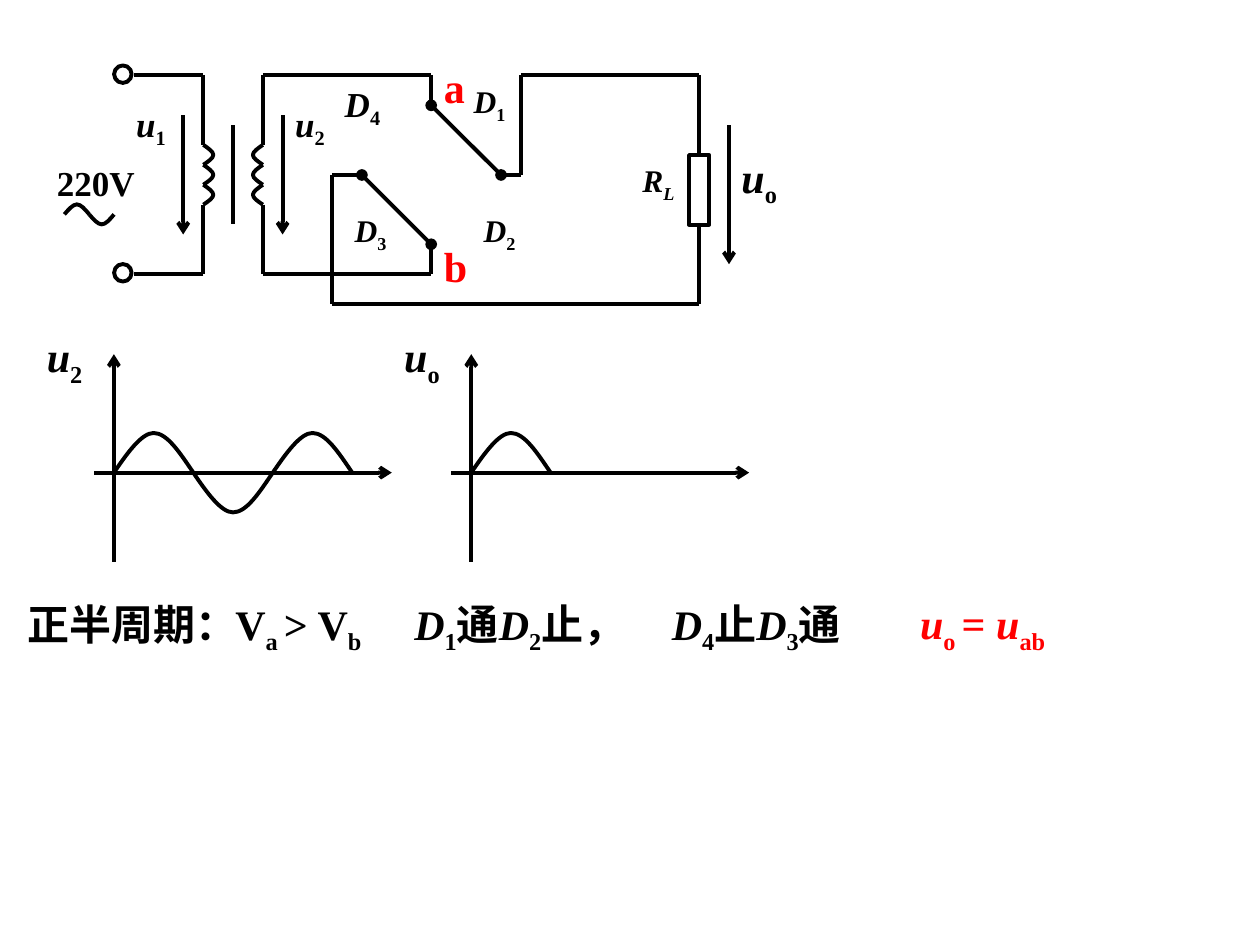
"""Build the slide of a bridge rectifier during the positive half cycle."""
from dataclasses import dataclass

from lxml import etree
from pptx import Presentation
from pptx.dml.color import RGBColor
from pptx.enum.shapes import MSO_CONNECTOR, MSO_SHAPE
from pptx.enum.text import MSO_AUTO_SIZE
from pptx.oxml.ns import qn
from pptx.util import Pt

STRAIGHT = MSO_CONNECTOR.STRAIGHT
OVAL, RECT = MSO_SHAPE.OVAL, MSO_SHAPE.RECTANGLE
GROW = MSO_AUTO_SIZE.SHAPE_TO_FIT_TEXT
COLORS = {"ink": "000000", "paper": "FFFFFF", "accent": "FF0000"}
FONT = {"name": "Times New Roman", "bold": True}
LINE_WIDTH = 2.25
ARCH = [(0, 0), (0.17, 0.5), (0.35, 1), (0.5, 1), (0.67, 1), (0.83, 0.5), (1, 0)]
TOP, BOTTOM, RETURN = 43.1, 156.7, 173.7
COIL_TOP, COIL_STEP, COIL_BULGE = 82.8, 11.4, 5.7
COIL_END = COIL_TOP + 3 * COIL_STEP
PRIMARY, SECONDARY = 116.2, 150.2
TERMINAL, BRIDGE_X, LOAD_X = 76.6, 246.4, 399.6
NODE_A, MIDDLE, NODE_B = 60.2, 100, 139.6
LEFT_NODE, RIGHT_NODE, LEFT_RAIL, RIGHT_RAIL = 206.8, 286.3, 189.9, 297.7
AXIS_Y, HALF_PERIOD, AMPLITUDE = 270.1, 45.4, 22.7


@dataclass
class Wire:
    """A straight line with optional end marks."""
    x1: float
    y1: float
    x2: float
    y2: float
    head: str = ""
    tail: str = ""


@dataclass
class Label:
    """A text whose runs carry the flags i (italic) and s (subscript)."""
    x: float
    y: float
    w: float
    h: float
    size: float
    runs: list[tuple[str, str]]
    color: str = "ink"


@dataclass
class Part:
    """An outlined circuit part."""
    kind: int
    x: float
    y: float
    w: float
    h: float


def symbol(name: str, sub: str, sub_style: str = "s") -> list[tuple[str, str]]:
    """Return the runs of an italic name with its subscript."""
    return [(name, "i"), (sub, sub_style)]


WIRES = [
    Wire(PRIMARY, TOP, PRIMARY, COIL_TOP),
    Wire(PRIMARY, COIL_END, PRIMARY, BOTTOM),
    Wire(PRIMARY, BOTTOM, TERMINAL, BOTTOM),
    Wire(PRIMARY, TOP, TERMINAL, TOP),
    Wire(SECONDARY, TOP, SECONDARY, COIL_TOP),
    Wire(SECONDARY, COIL_END, SECONDARY, BOTTOM),
    Wire(133.2, 71.5, 133.2, 128.2),
    Wire(SECONDARY, TOP, BRIDGE_X, TOP),
    Wire(SECONDARY, BOTTOM, BRIDGE_X, BOTTOM),
    Wire(BRIDGE_X, TOP, BRIDGE_X, NODE_A, tail="oval"),
    Wire(BRIDGE_X, NODE_B, BRIDGE_X, BOTTOM, head="oval"),
    Wire(RIGHT_NODE, MIDDLE, RIGHT_RAIL, MIDDLE, head="oval"),
    Wire(LEFT_NODE, MIDDLE, LEFT_RAIL, MIDDLE, head="oval"),
    Wire(LEFT_RAIL, MIDDLE, LEFT_RAIL, RETURN),
    Wire(LEFT_RAIL, RETURN, LOAD_X, RETURN),
    Wire(RIGHT_RAIL, MIDDLE, RIGHT_RAIL, TOP),
    Wire(RIGHT_RAIL, TOP, LOAD_X, TOP),
    Wire(LOAD_X, TOP, LOAD_X, RETURN),
    Wire(104.7, 66, 104.7, 134, tail="arrow"),
    Wire(161.5, 66, 161.5, 134, tail="arrow"),
    Wire(416.6, 71.5, 416.6, 151, tail="arrow"),
    Wire(BRIDGE_X, NODE_A, RIGHT_NODE, MIDDLE),
    Wire(LEFT_NODE, MIDDLE, BRIDGE_X, NODE_B),
]
PARTS = [
    Part(OVAL, 65.2, 37.4, 10, 10),
    Part(OVAL, 65.2, 150.9, 10, 10),
    Part(RECT, 393.8, 88.6, 11.5, 39.8),
]
LABELS = [
    Label(8.6, 338.4, 148, 36, 24, [("正半周期：", "")]),
    Label(127.4, 338.4, 142, 40, 24,
          [("V", ""), ("a ", "s"), ("> V", ""), ("b", "s")]),
    Label(229.7, 338.4, 221, 40, 24,
          symbol("D", "1") + [("通", "")] + symbol("D", "2") + [("止，", "")]),
    Label(376.8, 338.4, 221, 40, 24,
          symbol("D", "4") + [("止", "")] + symbol("D", "3") + [("通", "")]),
    Label(518.7, 338, 96.5, 40, 24,
          symbol("u", "o ") + [("= ", "")] + symbol("u", "ab"), "accent"),
    Label(416.6, 82.8, 51, 40, 24, symbol("u", "o")),
    Label(360, 88.6, 57, 32, 18, symbol("R", "L", "is")),
    Label(70.7, 54.8, 51, 34.6, 20, symbol("u", "1")),
    Label(161.5, 54.8, 51, 34.6, 20, symbol("u", "2")),
    Label(263.6, 43.2, 51, 32, 18, symbol("D", "1")),
    Label(269.2, 117.2, 51, 32, 18, symbol("D", "2")),
    Label(195.6, 117.2, 51, 32, 18, symbol("D", "3")),
    Label(189.9, 43.4, 51, 34.6, 20, symbol("D", "4")),
    Label(25.4, 88.6, 91, 32, 20, [("220V", "")]),
    Label(246.6, 31.8, 51, 36, 24, [("a", "")], "accent"),
    Label(246.6, 134, 51, 36, 24, [("b", "")], "accent"),
]


def rgb(key: str) -> RGBColor:
    """Return a palette colour."""
    return RGBColor.from_string(COLORS[key])


def stroke(s) -> None:
    """Give a shape or connector the common line."""
    s.line.width = Pt(LINE_WIDTH)
    s.line.color.rgb = rgb("ink")


def draw_wire(shapes, wire: Wire) -> None:
    """Draw a straight line and its end marks."""
    ends = (Pt(v) for v in (wire.x1, wire.y1, wire.x2, wire.y2))
    s = shapes.add_connector(STRAIGHT, *ends)
    stroke(s)
    ln = s._element.spPr.find(qn("a:ln"))
    for tag, mark in (("a:headEnd", wire.head), ("a:tailEnd", wire.tail)):
        if mark:
            etree.SubElement(ln, qn(tag)).set("type", mark)
    etree.SubElement(s._element.spPr, qn("a:effectLst"))


def draw_arch(shapes, x: float, y: float, length: float, height: float,
              vertical: bool = False) -> None:
    """Draw a half wave of two Bezier curves along either axis."""
    points = []
    for along, across in ARCH:
        dx, dy = along * length, across * height
        if vertical:
            dx, dy = across * height, along * length
        points.append((Pt(x + dx), Pt(y + dy)))
    builder = shapes.build_freeform(*points[0])
    builder.add_line_segments(points[1:], close=False)
    s = builder.convert_to_shape()
    segments = list(s._element.iter(qn("a:lnTo")))
    outline = segments[0].getparent()
    for i in range(0, len(segments), 3):
        curve = etree.SubElement(outline, qn("a:cubicBezTo"))
        for segment in segments[i:i + 3]:
            curve.append(segment[0])
            outline.remove(segment)
    s.fill.background()
    s.shadow.inherit = False
    stroke(s)


def draw_wave(shapes, x: float, y: float, length: float, height: float,
              halves: int) -> None:
    """Draw a sine wave of several half periods, rising first."""
    for i in range(halves):
        draw_arch(shapes, x + i * length, y, length, -height * (-1) ** i)


def draw_coil(shapes, x: float, bulge: float) -> None:
    """Draw the three turns of a winding."""
    for i in range(3):
        draw_arch(shapes, x, COIL_TOP + i * COIL_STEP, COIL_STEP, bulge, True)


def draw_part(shapes, part: Part) -> None:
    """Draw an outlined part."""
    box = (Pt(v) for v in (part.x, part.y, part.w, part.h))
    s = shapes.add_shape(part.kind, *box)
    s.shadow.inherit = False
    s.fill.solid()
    s.fill.fore_color.rgb = rgb("paper")
    stroke(s)


def draw_label(shapes, label: Label) -> None:
    """Draw a text with italic and subscript runs."""
    box = (Pt(v) for v in (label.x, label.y, label.w, label.h))
    tf = shapes.add_textbox(*box).text_frame
    tf.word_wrap = True
    tf.auto_size = GROW
    p = tf.paragraphs[0]
    for text, style in label.runs:
        r = p.add_run()
        r.text = text
        formats = FONT | {"size": Pt(label.size), "italic": "i" in style}
        for name, value in formats.items():
            setattr(r.font, name, value)
        r.font.color.rgb = rgb(label.color)
        if "s" in style:
            r._r.get_or_add_rPr().set("baseline", "-25000")


def draw_plot(shapes, x: float, sub: str, halves: int) -> None:
    """Draw the axes, wave and name of a voltage plot."""
    draw_wire(shapes, Wire(x - 11.3, AXIS_Y, x + 158.8, AXIS_Y, tail="arrow"))
    draw_wire(shapes, Wire(x, 202.4, x, 321, head="arrow"))
    draw_wave(shapes, x, AXIS_Y, HALF_PERIOD, AMPLITUDE, halves)
    draw_label(shapes, Label(x - 45.4, 185.3, 108, 40, 24, symbol("u", sub)))


def main() -> None:
    """Create and save the presentation."""
    prs = Presentation()
    prs.slide_width, prs.slide_height = Pt(720), Pt(540)
    shapes = prs.slides.add_slide(prs.slide_layouts[6]).shapes
    draw_plot(shapes, 65.1, "2", 3)
    draw_plot(shapes, 269.3, "o", 1)
    for wire in WIRES:
        draw_wire(shapes, wire)
    draw_coil(shapes, PRIMARY, COIL_BULGE)
    draw_coil(shapes, SECONDARY, -COIL_BULGE)
    draw_wave(shapes, 36.8, 122.5, 14.2, 5.7, 2)
    for part in PARTS:
        draw_part(shapes, part)
    for label in LABELS:
        draw_label(shapes, label)
    prs.save("out.pptx")


if __name__ == "__main__":
    main()
